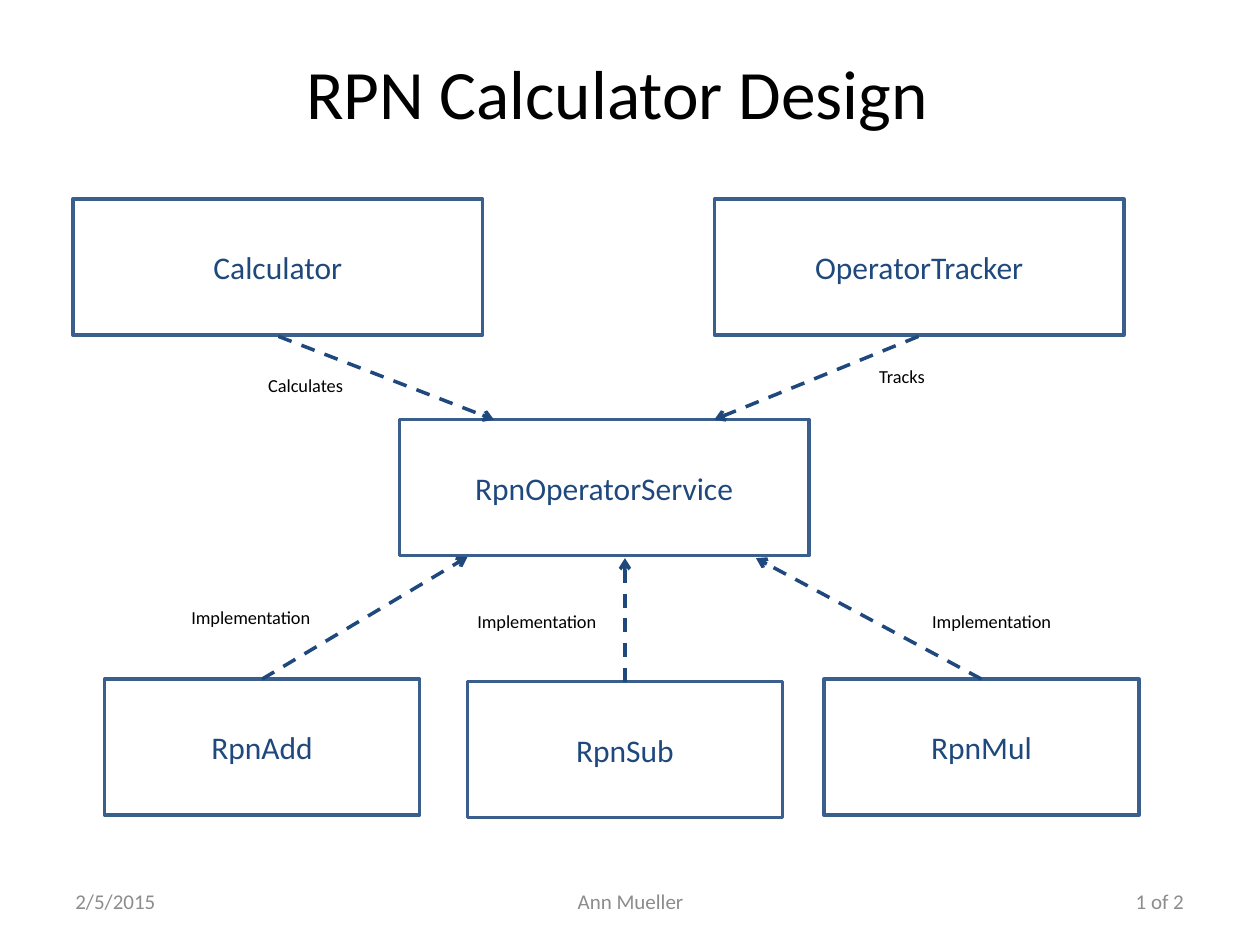
from lxml import etree
from pptx import Presentation
from pptx.dml.color import RGBColor
from pptx.enum import dml, shapes, text
from pptx.oxml import ns
from pptx.util import Inches, Pt

BLACK = RGBColor(0x00, 0x00, 0x00)
GRAY = RGBColor(0x8C, 0x8C, 0x8C)
NAVY = RGBColor(0x1F, 0x49, 0x7D)
BORDER = RGBColor(0x3A, 0x5F, 0x8C)
LEFT, CENTER = text.PP_ALIGN.LEFT, text.PP_ALIGN.CENTER
TOP, MIDDLE = text.MSO_ANCHOR.TOP, text.MSO_ANCHOR.MIDDLE


class DiagramSlide:
    font = "Calibri"
    line_width = Pt(2)

    def __init__(self, deck):
        self.page = deck.slides.add_slide(deck.slide_layouts[5])

    def set_words(self, shape, words, size, color, align=CENTER, anchor=MIDDLE):
        frame = shape.text_frame
        frame.word_wrap = True
        frame.auto_size = text.MSO_AUTO_SIZE.NONE
        frame.vertical_anchor = anchor
        para = frame.paragraphs[0]
        para.alignment = align
        span = para.add_run()
        span.text = words
        span.font.name = self.font
        span.font.size = Pt(size)
        span.font.color.rgb = color

    def title(self, words, left, top, width, height):
        title = self.page.shapes.title
        title.left, title.top = Inches(left), Inches(top)
        title.width, title.height = Inches(width), Inches(height)
        self.set_words(title, words, 39.6, BLACK)

    def class_box(self, words, left, top, width, height=1.08):
        box = self.page.shapes.add_shape(
            shapes.MSO_SHAPE.RECTANGLE,
            Inches(left), Inches(top), Inches(width), Inches(height))
        box.shadow.inherit = False
        box.fill.background()
        box.line.color.rgb = BORDER
        box.line.width = self.line_width
        self.set_words(box, words, 18, NAVY)

    def dashed_arrow(self, start, end):
        arrow = self.page.shapes.add_connector(
            shapes.MSO_CONNECTOR.STRAIGHT, *map(Inches, start + end))
        arrow.line.color.rgb = NAVY
        arrow.line.width = self.line_width
        arrow.line.dash_style = dml.MSO_LINE.DASH
        properties = arrow.element.spPr
        outline = properties.find(ns.qn("a:ln"))
        etree.SubElement(outline, ns.qn("a:tailEnd"), type="arrow")
        etree.SubElement(properties, ns.qn("a:effectLst"))

    def label(self, words, left, top, width=1.17, height=0.28,
              size=10.5, color=BLACK, align=LEFT, anchor=TOP):
        box = self.page.shapes.add_textbox(
            Inches(left), Inches(top), Inches(width), Inches(height))
        self.set_words(box, words, size, color, align, anchor)


deck = Presentation()
deck.slide_width, deck.slide_height = Inches(10), Inches(7.5)
slide = DiagramSlide(deck)

slide.title("RPN Calculator Design ", 0.46, 0.5, 9, 0.45)

for name, left, top, width in [
    ("RpnOperatorService", 3.17, 3.33, 3.25),
    ("Calculator", 0.58, 1.58, 3.25),
    ("OperatorTracker", 5.67, 1.58, 3.25),
    ("RpnAdd", 0.83, 5.39, 2.5),
    ("RpnSub", 3.71, 5.41, 2.5),
    ("RpnMul", 6.54, 5.39, 2.5),
]:
    slide.class_box(name, left, top, width)

for start, end in [
    ((2.08, 5.39), (3.71, 4.42)),
    ((4.96, 5.41), (4.96, 4.43)),
    ((7.79, 5.39), (6, 4.43)),
    ((7.29, 2.67), (5.67, 3.33)),
    ((2.21, 2.67), (3.92, 3.33)),
]:
    slide.dashed_arrow(start, end)

for left, top in [(1.42, 4.76), (3.69, 4.79), (7.3, 4.79)]:
    slide.label("Implementation", left, top)
slide.label("Tracks", 6.88, 2.85)
slide.label("Calculates", 2.03, 2.92, 1)

for words, left, top, width, height, align, anchor in [
    ("2/5/2015", 0.5, 6.95, 2.33, 0.4, LEFT, MIDDLE),
    ("Ann Mueller", 3.42, 6.95, 3.17, 0.4, CENTER, MIDDLE),
    ("1 of 2", 8.54, 7, 1.33, 0.3, CENTER, TOP),
]:
    slide.label(words, left, top, width, height, 12, GRAY, align, anchor)

deck.save("out.pptx")
